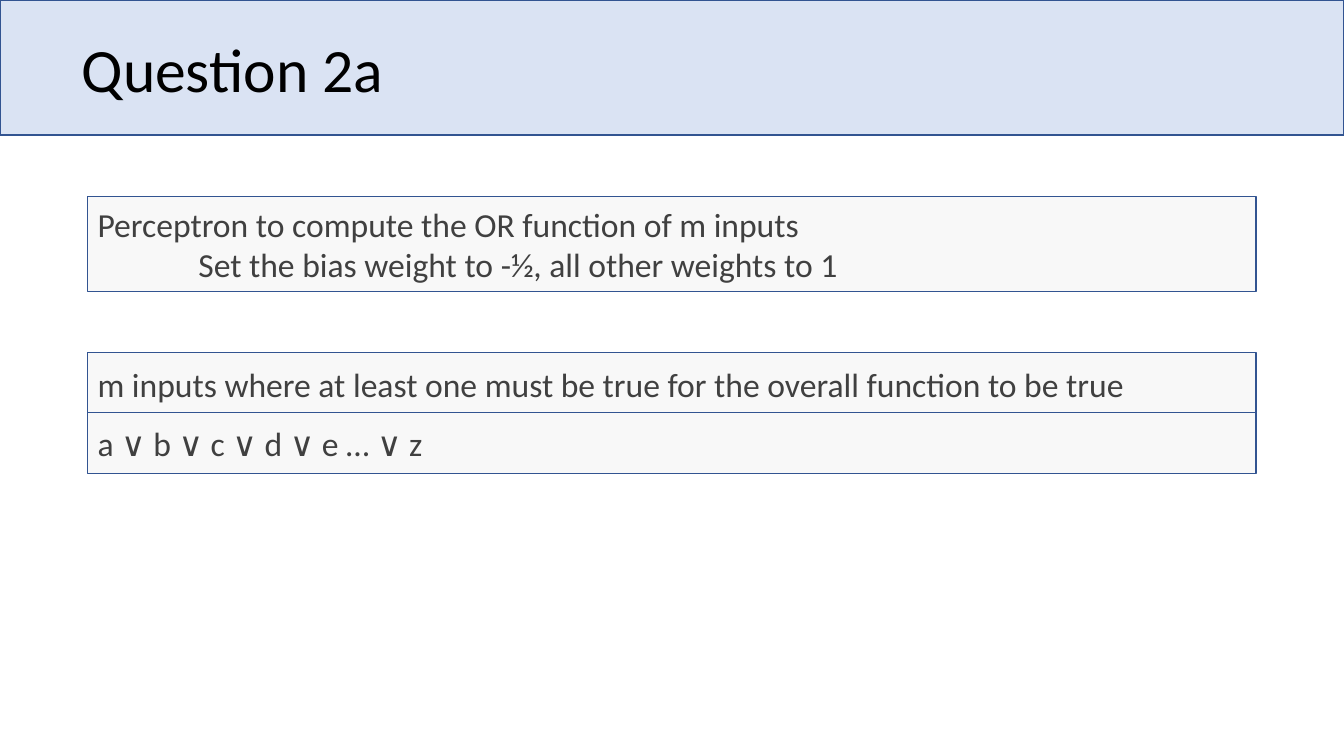
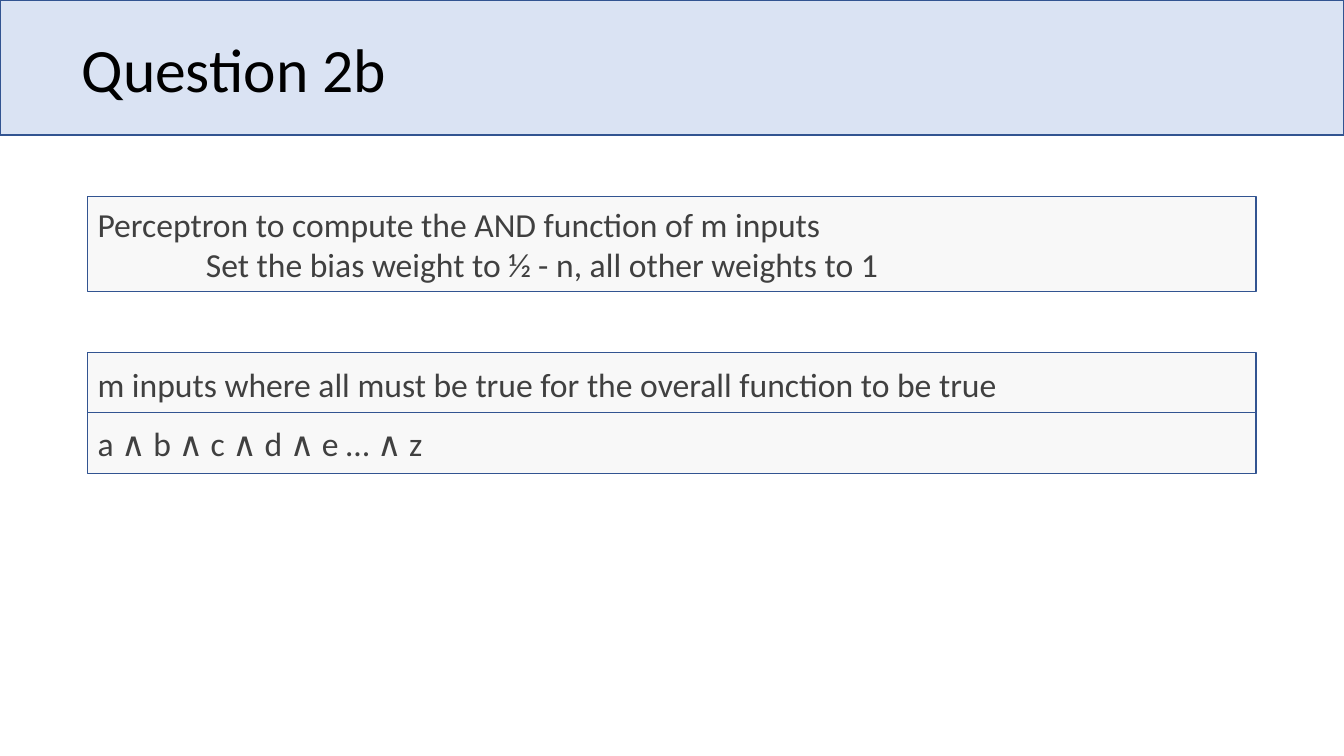
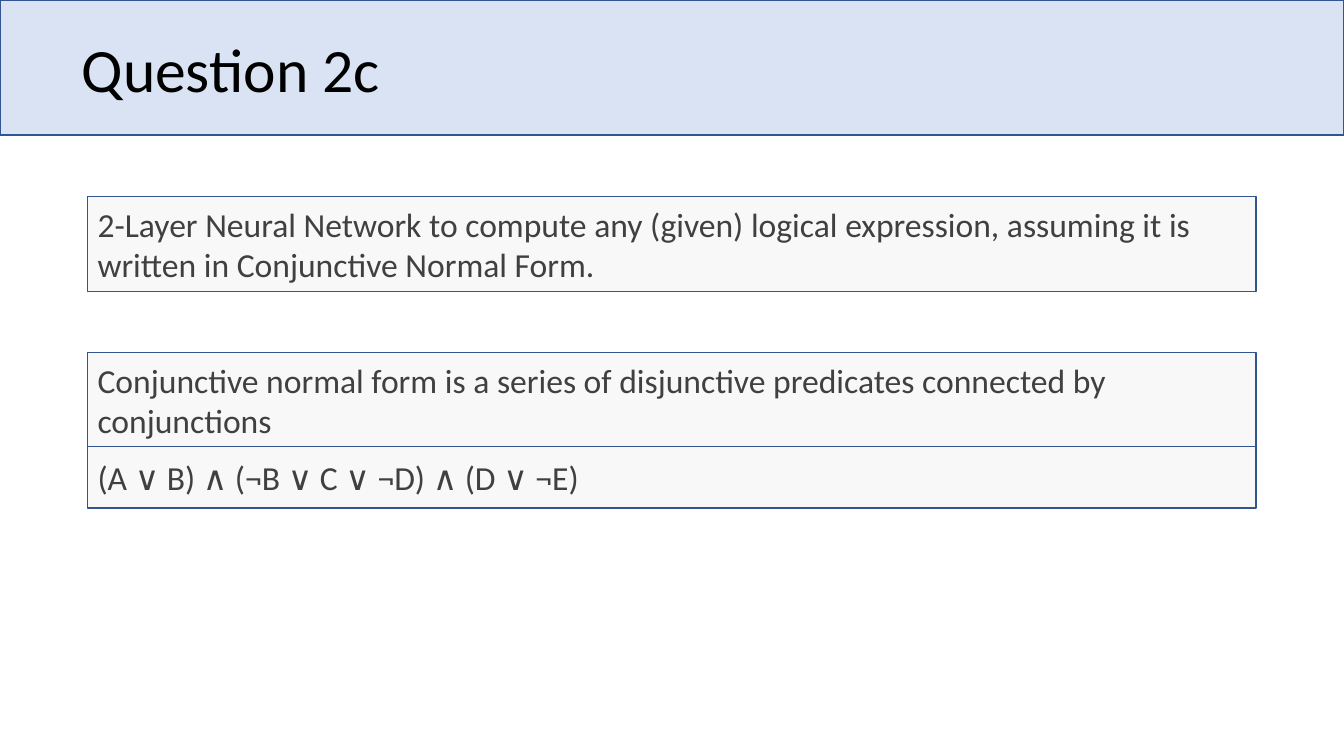
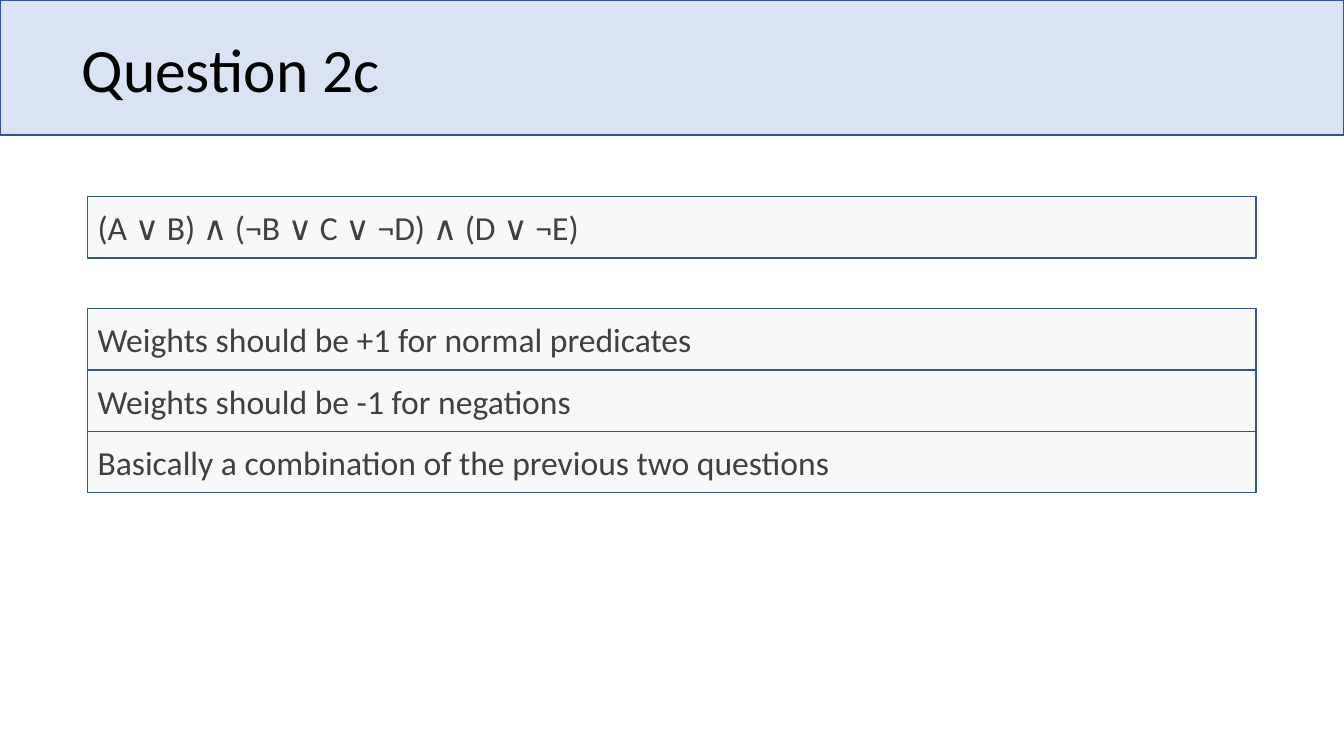
from dataclasses import dataclass

from pptx import Presentation
from pptx.dml.color import RGBColor
from pptx.enum.shapes import MSO_SHAPE as Shape
from pptx.enum.text import MSO_ANCHOR as Anchor, MSO_AUTO_SIZE as AutoSize, PP_ALIGN as Align
from pptx.util import Pt

# Shared look
PAGE_WIDTH, PAGE_HEIGHT = 960, 540
BAND_HEIGHT = 96.5
BOX_LEFT, BOX_WIDTH = 62.6, 834.5
ONE_LINE, TWO_LINES = 43.9, 67.7
STATEMENT_TOP = 140.4
BAND_FILL, BOX_FILL, OUTLINE = "DAE3F3", "F8F8F8", "325491"
TITLE_COLOUR, BODY_COLOUR = "000000", "404040"

FRAME_FORMAT = {"word_wrap": True, "auto_size": AutoSize.NONE, "vertical_anchor": Anchor.MIDDLE}
TITLE_FONT = {"name": "Calibri", "size": Pt(44), "bold": False}
BODY_FONT = {"name": "Calibri", "size": Pt(24)}
TITLE_PARAGRAPH = {"alignment": Align.LEFT, "line_spacing": 0.9}
BODY_PARAGRAPH = {"alignment": Align.LEFT}

CLAUSES = "(A ∨ B) ∧ (¬B ∨ C ∨ ¬D) ∧ (D ∨ ¬E)"


@dataclass(frozen=True)
class Line:
    text: str
    indent: float = 0


@dataclass(frozen=True)
class Box:
    lines: tuple[Line, ...]
    height: float = ONE_LINE


@dataclass(frozen=True)
class Question:
    title: str
    statement: Box
    answers: tuple[Box, ...]
    answer_top: float = 252
    overlap: float = 0


def box_of(text: str, height: float = ONE_LINE) -> Box:
    return Box((Line(text),), height)


QUESTIONS = (
    Question(
        "Question 2a",
        Box((Line("Perceptron to compute the OR function of m inputs"),
             Line("Set the bias weight to -1⁄2, all other weights to 1", 72)), TWO_LINES),
        (box_of("m inputs where at least one must be true for the overall function to be true"),
         box_of("a ∨ b ∨ c ∨ d ∨ e … ∨ z")),
        overlap=1.4,
    ),
    Question(
        "Question 2b",
        Box((Line("Perceptron to compute the AND function of m inputs"),
             Line("Set the bias weight to 1⁄2 - n, all other weights to 1", 77.4)), TWO_LINES),
        (box_of("m inputs where all must be true for the overall function to be true"),
         box_of("a ∧ b ∧ c ∧ d ∧ e … ∧ z")),
        overlap=1.4,
    ),
    Question(
        "Question 2c",
        box_of("2-Layer Neural Network to compute any (given) logical expression, "
               "assuming it is written in Conjunctive Normal Form.", TWO_LINES),
        (box_of("Conjunctive normal form is a series of disjunctive predicates "
                "connected by conjunctions", TWO_LINES),
         box_of(CLAUSES)),
        overlap=0.7,
    ),
    Question(
        "Question 2c",
        box_of(CLAUSES),
        (box_of("Weights should be +1 for normal predicates"),
         box_of("Weights should be -1 for negations"),
         box_of("Basically a combination of the previous two questions")),
        answer_top=220.3,
    ),
)


def colour(value: str) -> RGBColor:
    return RGBColor.from_string(value)


def apply(target, values: dict) -> None:
    for name, value in values.items():
        setattr(target, name, value)


def place(shape, left: float, top: float, width: float, height: float) -> None:
    apply(shape, {"left": Pt(left), "top": Pt(top), "width": Pt(width), "height": Pt(height)})


def write(frame, lines: tuple[Line, ...], font: dict, paragraph: dict, ink: str) -> None:
    apply(frame, FRAME_FORMAT)
    for index, line in enumerate(lines):
        para = frame.add_paragraph() if index else frame.paragraphs[0]
        apply(para, paragraph)
        if line.indent:
            para._p.get_or_add_pPr().set("marL", str(Pt(line.indent)))
        span = para.add_run()
        span.text = line.text
        apply(span.font, font)
        span.font.color.rgb = colour(ink)


def add_panel(page, left: float, top: float, width: float, height: float, fill: str):
    panel = page.shapes.add_shape(Shape.RECTANGLE, Pt(left), Pt(top), Pt(width), Pt(height))
    panel.shadow.inherit = False
    panel.fill.solid()
    panel.fill.fore_color.rgb = colour(fill)
    panel.line.color.rgb = colour(OUTLINE)
    panel.line.width = Pt(1)
    return panel


def add_heading(page, text: str) -> None:
    title = page.shapes.title
    band = add_panel(page, 0, 0, PAGE_WIDTH, BAND_HEIGHT, BAND_FILL)
    title.element.addprevious(band.element)  # band goes behind the title
    place(title, 51.1, -0.7, 828, 104.4)
    write(title.text_frame, (Line(text),), TITLE_FONT, TITLE_PARAGRAPH, TITLE_COLOUR)


def add_box(page, box: Box, top: float) -> None:
    panel = add_panel(page, BOX_LEFT, top, BOX_WIDTH, box.height, BOX_FILL)
    write(panel.text_frame, box.lines, BODY_FONT, BODY_PARAGRAPH, BODY_COLOUR)


def add_question(deck, question: Question) -> None:
    page = deck.slides.add_slide(deck.slide_layouts.get_by_name("Title Only"))
    add_heading(page, question.title)
    add_box(page, question.statement, STATEMENT_TOP)
    # Answers are stacked edge to edge
    top = question.answer_top
    for answer in question.answers:
        add_box(page, answer, top)
        top += answer.height - question.overlap


def main() -> None:
    deck = Presentation()
    apply(deck, {"slide_width": Pt(PAGE_WIDTH), "slide_height": Pt(PAGE_HEIGHT)})
    for question in QUESTIONS:
        add_question(deck, question)
    deck.save("out.pptx")


if __name__ == "__main__":
    main()
